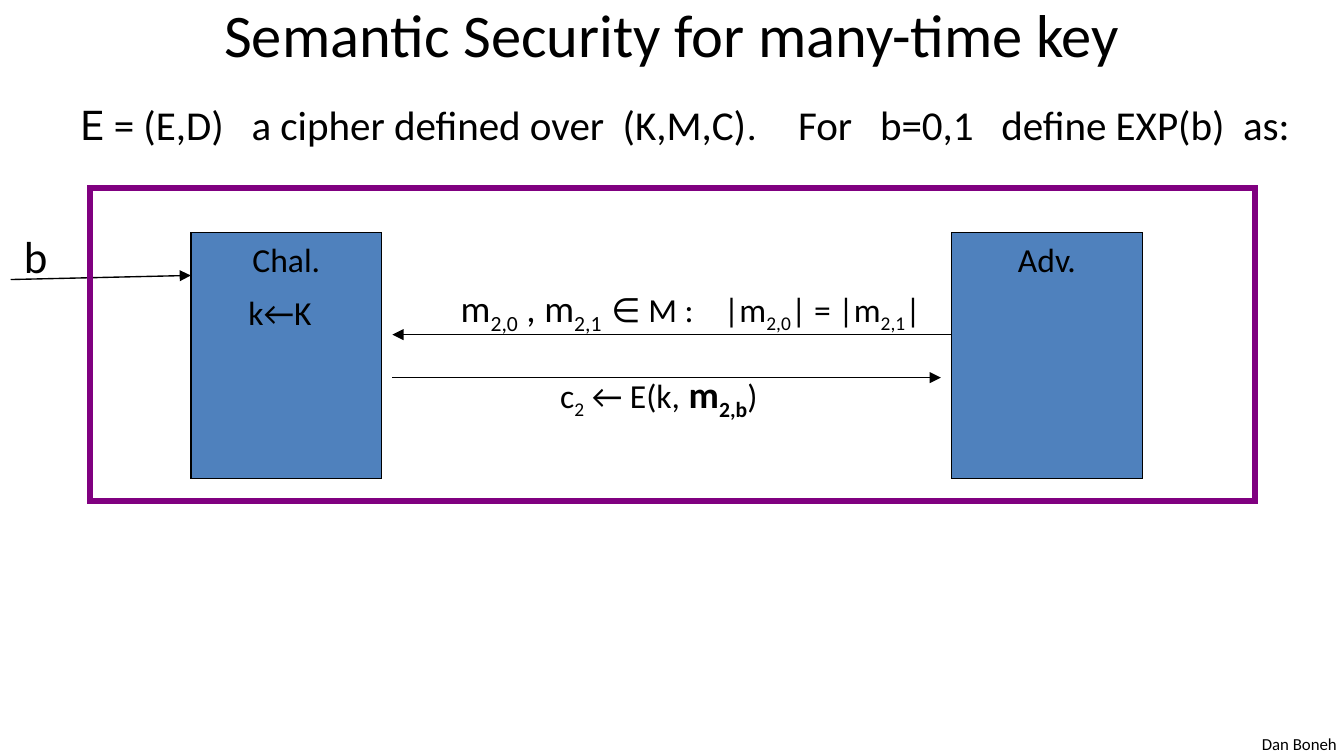
from lxml import etree
from pptx import Presentation
from pptx.dml.color import RGBColor
from pptx.enum.shapes import MSO_CONNECTOR, MSO_SHAPE
from pptx.enum.text import MSO_ANCHOR, PP_ALIGN
from pptx.oxml.ns import qn
from pptx.util import Inches, Pt

RECTANGLE = MSO_SHAPE.RECTANGLE
STRAIGHT = MSO_CONNECTOR.STRAIGHT
TOP, MIDDLE = MSO_ANCHOR.TOP, MSO_ANCHOR.MIDDLE
LEFT, CENTER = PP_ALIGN.LEFT, PP_ALIGN.CENTER
BLACK, BLUE, PURPLE = "000000", "4F81BD", "800080"
BODY_FONT, ACCENT_FONT = "Calibri", "Roboto"
SUBSCRIPT = "-25000"


def color(value):
    """Turn a hex string into a colour."""
    return RGBColor.from_string(value)


def add_run(paragraph, text, size, font=BODY_FONT, bold=False, subscript=False):
    """Add one formatted run to a paragraph."""
    run = paragraph.add_run()
    run.text = text
    run.font.name = font
    run.font.size = Pt(size)
    run.font.bold = bold
    run.font.color.rgb = color(BLACK)
    if subscript:
        run.font._element.set("baseline", SUBSCRIPT)


def write_text(shape, runs, align=LEFT, anchor=TOP, wrap=False):
    """Fill a shape with one paragraph of (text, size, options) runs."""
    frame = shape.text_frame
    frame.word_wrap = wrap
    frame.vertical_anchor = anchor
    paragraph = frame.paragraphs[0]
    paragraph.alignment = align
    for text, size, options in runs:
        add_run(paragraph, text, size, **options)
    return paragraph


def add_label(slide, left, top, width, height, runs, wrap=False):
    """Add a text box holding the given runs."""
    box = slide.shapes.add_textbox(Inches(left), Inches(top), Inches(width), Inches(height))
    return write_text(box, runs, wrap=wrap)


def add_box(slide, left, top, width, height, line, weight, fill=None):
    """Add a sharp-cornered rectangle, filled when a colour is given."""
    shape = slide.shapes.add_shape(
        RECTANGLE, Inches(left), Inches(top), Inches(width), Inches(height))
    shape.shadow.inherit = False
    if fill:
        shape.fill.solid()
        shape.fill.fore_color.rgb = color(fill)
    else:
        shape.fill.background()
    shape.line.color.rgb = color(line)
    shape.line.width = Pt(weight)
    etree.SubElement(shape.line._get_or_add_ln(), qn("a:miter"), lim="800000")
    return shape


def add_arrow(slide, start_x, start_y, end_x, end_y):
    """Add a thin black arrow that points at its end."""
    arrow = slide.shapes.add_connector(
        STRAIGHT, Inches(start_x), Inches(start_y), Inches(end_x), Inches(end_y))
    arrow.line.color.rgb = color(BLACK)
    arrow.line.width = Pt(0.75)
    etree.SubElement(arrow.line._get_or_add_ln(), qn("a:tailEnd"), type="triangle")
    etree.SubElement(arrow._element.spPr, qn("a:effectLst"))


def add_title(slide, left, top, width, height):
    """Place and format the slide title."""
    title = slide.shapes.title
    title.left, title.top = Inches(left), Inches(top)
    title.width, title.height = Inches(width), Inches(height)
    write_text(title, [("Semantic Security for many-time key", 32.4, {})],
               CENTER, MIDDLE, wrap=True)


def add_definition(slide, left, top, width, height):
    """Add the sentence that introduces the experiment."""
    accent = {"font": ACCENT_FONT}
    paragraph = add_label(slide, left, top, width, height, [
        ("E ", 22, accent),
        ("= (E,D)   a cipher defined over  (K,M,C)", 22, {}),
        (".    ", 22, accent),
        ("For   b=0,1   define EXP(b)  as:", 22, {}),
    ], wrap=True)
    paragraph.line_spacing = 0.9


def add_party(slide, left, top, name):
    """Add the box of one party in the game."""
    party = add_box(slide, left, top, 1.42, 1.83, BLACK, 0.75, BLUE)
    write_text(party, [(name, 18, {})], CENTER)


def add_query(slide, left, top):
    """Add the adversary's message pair and its arrow."""
    lowered = {"subscript": True}
    add_arrow(slide, left + 4.16, top + 0.42, left, top + 0.42)
    add_label(slide, left + 0.41, top, 3.74, 0.44, [
        ("m", 20, {}), ("2,0", 20, lowered),
        (" , m", 20, {}), ("2,1  ", 20, lowered),
        ("∈ M :    |m", 18, {}), ("2,0", 18, lowered),
        ("| = |m", 18, {}), ("2,1", 18, lowered), ("|", 18, {}),
    ])


def add_reply(slide, left, top):
    """Add the challenger's ciphertext and its arrow."""
    add_arrow(slide, left, top + 0.1, left + 4.08, top + 0.1)
    add_label(slide, left + 1.15, top, 1.75, 0.44, [
        ("c", 18, {}), ("2", 18, {"subscript": True}),
        (" ← E(k,", 18, {}), (" m", 20, {"bold": True}),
        ("2,b", 20, {"bold": True, "subscript": True}), (")", 18, {}),
    ])


def add_experiment(slide, left, top, width, height):
    """Add the framed game between challenger and adversary."""
    party_top = top + 0.33
    add_party(slide, left + 0.75, party_top, "Chal.")
    add_arrow(slide, left - 0.59, top + 0.68, left + 0.75, top + 0.65)
    add_label(slide, left - 0.59, top + 0.25, 0.38, 0.5, [("b", 24, {})])
    add_party(slide, left + 6.41, party_top, "Adv.")
    add_label(slide, left + 1.08, top + 0.72, 0.7, 0.4, [("k←K", 18, {})])
    add_query(slide, left + 2.25, top + 0.67)
    add_reply(slide, left + 2.25, top + 1.31)
    add_box(slide, left, top, width, height, PURPLE, 3)


def main():
    """Build and save the presentation."""
    presentation = Presentation()
    presentation.slide_width = Inches(10)
    presentation.slide_height = presentation.slide_width * 9 // 16
    slide = presentation.slides.add_slide(presentation.slide_layouts.get_by_name("Title Only"))
    add_label(slide, 9.29, 5.41, 0.76, 0.25, [("Dan Boneh", 9, {})])
    add_title(slide, 0.5, -0.1, 9, 0.69)
    add_definition(slide, 0.5, 0.73, 9.5, 4.9)
    add_experiment(slide, 0.67, 1.4, 8.67, 2.33)
    presentation.save("out.pptx")


if __name__ == "__main__":
    main()
